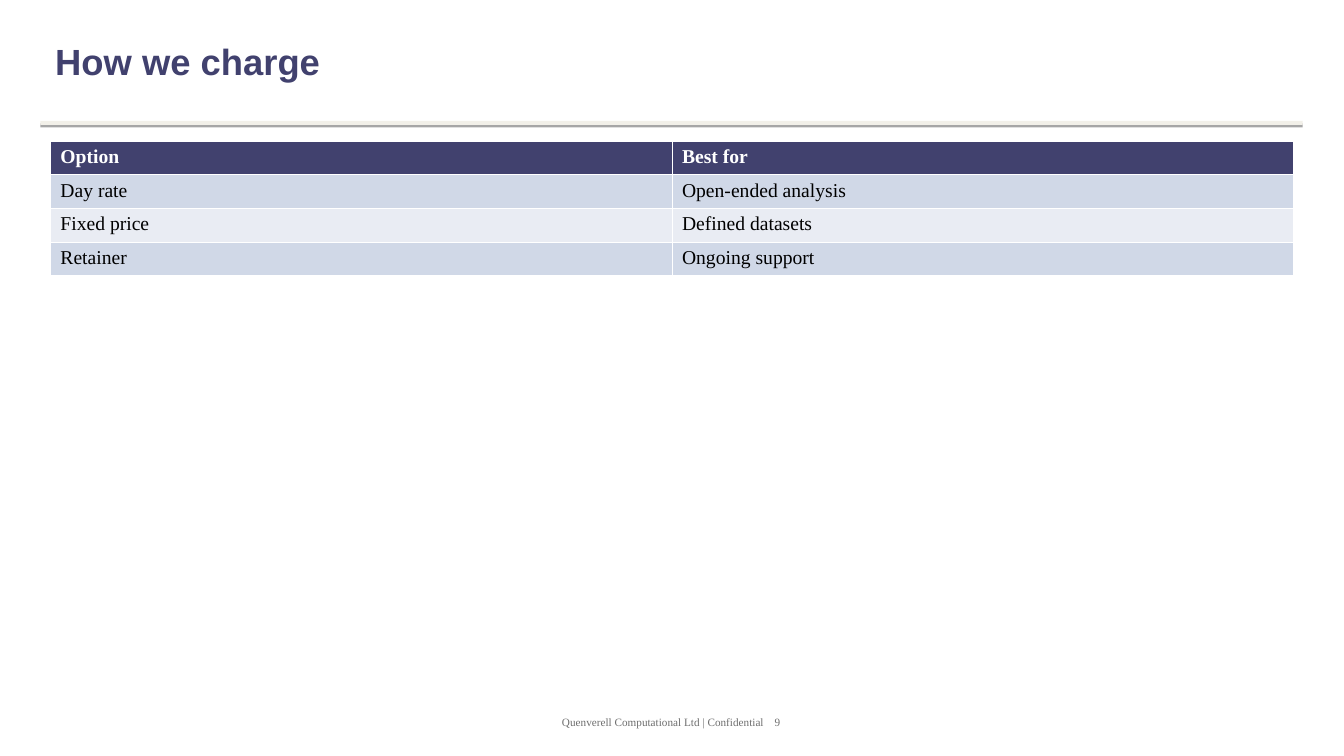
from lxml import etree
from pptx import Presentation
from pptx import util as u
from pptx.dml.color import RGBColor
from pptx.enum import shapes, text
from pptx.oxml import parse_xml
from pptx.oxml.ns import nsdecls, qn

PX = 9144
COLORS = {
    "navy": "41416E", "white": "FFFFFF", "black": "000000", "sand": "F2F0E9",
    "band_dark": "D0D8E7", "band_light": "E9ECF3", "grey": "6E6E6E",
}
SERIF = "Times New Roman"
PRICING = [
    ("Option", "Best for"),
    ("Day rate", "Open-ended analysis"),
    ("Fixed price", "Defined datasets"),
    ("Retainer", "Ongoing support"),
]


def px(*lengths):
    """Turn pixel lengths into EMU."""
    return [u.Emu(length * PX) for length in lengths]


def rgb(name):
    """Look up a named colour."""
    return RGBColor.from_string(COLORS[name])


def style(paragraph, font_name, size, color, bold=False):
    """Set the font of a whole paragraph."""
    font = paragraph.font
    font.name, font.size, font.bold = font_name, u.Pt(size), bold
    font.color.rgb = rgb(color)


def add_text(slide, box, content, font, wrap=True, tab=None):
    """Add a one-paragraph text box, with an optional tab stop."""
    frame = slide.shapes.add_textbox(*px(*box)).text_frame
    frame.word_wrap = wrap
    frame.vertical_anchor = text.MSO_ANCHOR.MIDDLE
    paragraph = frame.paragraphs[0]
    paragraph.text = content
    if tab is not None:
        tabs = etree.SubElement(paragraph._p.get_or_add_pPr(), qn("a:tabLst"))
        etree.SubElement(tabs, qn("a:tab"), pos=str(tab * PX), algn="l")
    style(paragraph, *font)


def add_rule(slide, box):
    """Add the thin bar with its hard shadow below."""
    bar = slide.shapes.add_shape(shapes.MSO_SHAPE.RECTANGLE, *px(*box))
    bar.fill.solid()
    bar.fill.fore_color.rgb = rgb("sand")
    bar.line.fill.background()
    bar.shadow.inherit = False
    effects = bar._element.spPr.find(qn("a:effectLst"))
    effects.append(parse_xml(
        f'<a:outerShdw {nsdecls("a")} blurRad="0" dist="{u.Pt(1.8)}" dir="5400000" rotWithShape="0">'
        f'<a:srgbClr val="{COLORS["black"]}"><a:alpha val="35000"/></a:srgbClr></a:outerShdw>'))


def add_borders(cell):
    """Give a cell thin white borders on all sides."""
    properties = cell._tc.get_or_add_tcPr()
    for index, side in enumerate("LRTB"):
        properties.insert(index, parse_xml(
            f'<a:ln{side} {nsdecls("a")} w="{u.Pt(0.45)}"><a:solidFill>'
            f'<a:srgbClr val="{COLORS["white"]}"/></a:solidFill></a:ln{side}>'))


def add_pricing_table(slide, box, rows):
    """Add a table with a dark header and alternating bands."""
    table = slide.shapes.add_table(len(rows), len(rows[0]), *px(*box)).table
    for row_index, row in enumerate(rows):
        header = row_index == 0
        band = "navy" if header else ("band_light", "band_dark")[row_index % 2]
        for column_index, content in enumerate(row):
            cell = table.cell(row_index, column_index)
            cell.text = content
            cell.fill.solid()
            cell.fill.fore_color.rgb = rgb(band)
            add_borders(cell)
            style(cell.text_frame.paragraphs[0], SERIF, 14,
                  "white" if header else "black", header)


def main():
    """Build the pricing slide."""
    presentation = Presentation()
    presentation.slide_width, presentation.slide_height = px(1334, 750)
    slide = presentation.slides.add_slide(presentation.slide_layouts[6])
    add_text(slide, (45, 15, 1243, 90), "How we charge", ("Arial", 26, "navy", True))
    add_rule(slide, (40, 120, 1253, 4))
    add_pricing_table(slide, (50, 140, 1234, 133), PRICING)
    add_text(slide, (548, 705, 237, 23), "Quenverell Computational Ltd | Confidential\t9",
             (SERIF, 8, "grey"), wrap=False, tab=211)
    presentation.save("out.pptx")


if __name__ == "__main__":
    main()
